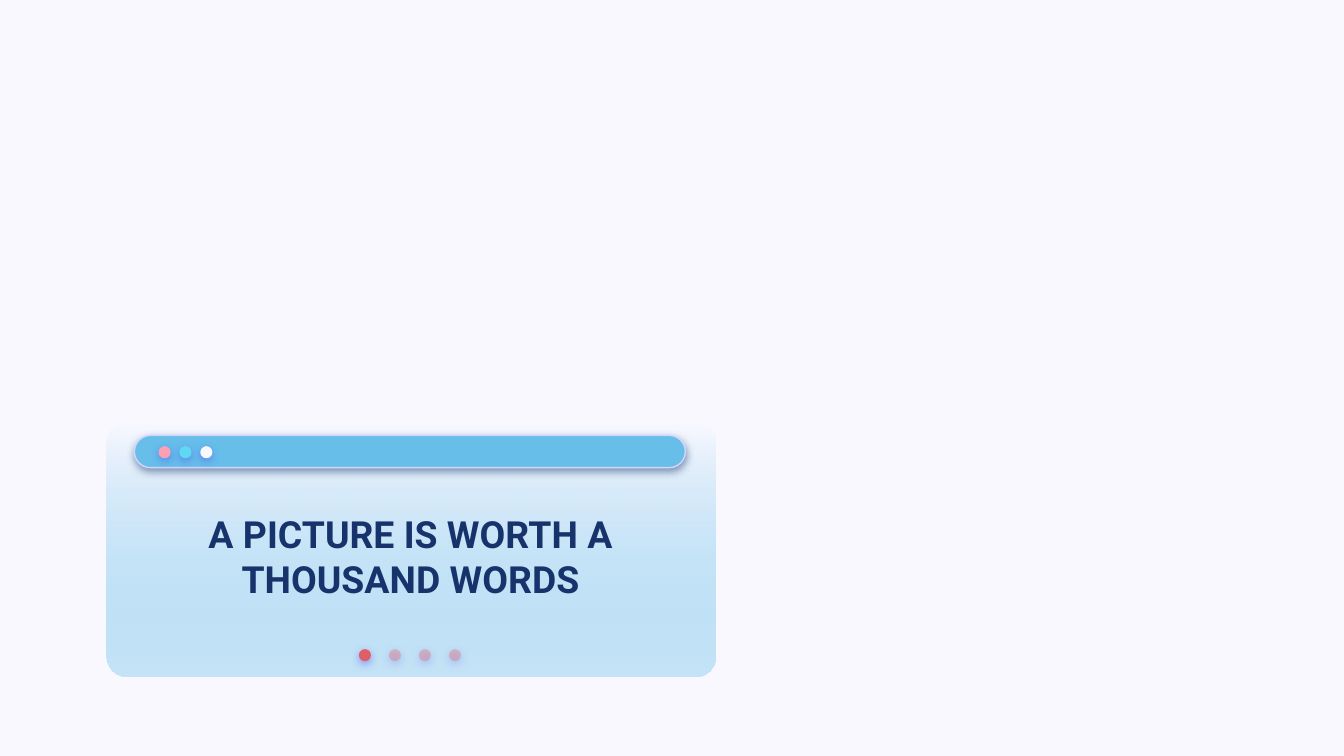
from lxml.etree import SubElement
from pptx import Presentation
from pptx.dml.color import RGBColor
from pptx.enum.shapes import MSO_SHAPE as Shape
from pptx.enum.text import MSO_ANCHOR as Anchor, PP_ALIGN as Align
from pptx.oxml.ns import qn
from pptx.util import Inches, Pt

COLORS = {
    "background": "F9F8FF",
    "sky": "66BEE9",
    "navy": "17336B",
    "bar_edge": "D2D6FF",
    "glow": "5352EE",
    "active": "DF5F69",
    "inactive": "E27B83",
    "pink": "FDA0B4",
    "cyan": "60D8F4",
}
SLIDE_WIDTH = 10
DOT_SIZE = 0.09


def rgb(name):
    return RGBColor.from_string(COLORS[name])


def set_alpha(color_element, percent):
    SubElement(color_element, qn("a:alpha"), val=str(percent * 1000))


def add_shadow(shape, color):
    """Soft shadow falling straight down at half strength."""
    effects = shape._element.spPr.find(qn("a:effectLst"))
    shadow = SubElement(effects, qn("a:outerShdw"), blurRad=str(Pt(4.5)),
                        dist=str(Pt(1.5)), dir="5400000", algn="bl", rotWithShape="0")
    set_alpha(SubElement(shadow, qn("a:srgbClr"), val=COLORS[color]), 50)


def add_plain_shape(slide, kind, left, top, width, height):
    shape = slide.shapes.add_shape(
        kind, Inches(left), Inches(top), Inches(width), Inches(height))
    shape.shadow.inherit = False
    shape.line.fill.background()
    return shape


def add_panel(slide):
    panel = add_plain_shape(slide, Shape.ROUNDED_RECTANGLE, 0.79, 3.14, 4.53, 1.89)
    panel.adjustments[0] = 0.08
    panel.fill.gradient()
    panel.fill.gradient_angle = 270
    for stop, position, color in zip(panel.fill.gradient_stops, (0, 1), ("background", "sky")):
        stop.position = position
        stop.color.rgb = rgb(color)
    set_alpha(panel._element.spPr.findall(".//" + qn("a:srgbClr"))[-1], 35)


def add_window_bar(slide):
    bar = add_plain_shape(slide, Shape.ROUNDED_RECTANGLE, 1, 3.24, 4.1, 0.24)
    bar.adjustments[0] = 0.5
    bar.fill.solid()
    bar.fill.fore_color.rgb = rgb("sky")
    bar.line.color.rgb = rgb("bar_edge")
    bar.line.width = Pt(0.75)
    add_shadow(bar, "navy")


def add_dots(slide, first_left, last_left, top, dots):
    """Row of evenly spaced dots; each is a (color, opacity percent) pair."""
    pitch = (last_left - first_left) / (len(dots) - 1)
    for index, (color, opacity) in enumerate(dots):
        dot = add_plain_shape(slide, Shape.OVAL, first_left + index * pitch, top,
                              DOT_SIZE, DOT_SIZE)
        dot.fill.solid()
        dot.fill.fore_color.rgb = rgb(color)
        if opacity < 100:
            set_alpha(dot._element.spPr.find(".//" + qn("a:srgbClr")), opacity)
        add_shadow(dot, "glow")


def add_title(slide, text):
    title = slide.shapes.add_textbox(Inches(0.98), Inches(3.62), Inches(4.15), Inches(1.04))
    frame = title.text_frame
    frame.word_wrap = True
    frame.vertical_anchor = Anchor.MIDDLE
    frame.margin_left = frame.margin_right = Inches(0.1)
    frame.margin_top = frame.margin_bottom = Inches(0.1)
    frame.text = text
    paragraph = frame.paragraphs[0]
    paragraph.alignment = Align.CENTER
    font = paragraph.runs[0].font
    font.name = "Roboto"
    font.size = Pt(20)
    font.bold = True
    font.color.rgb = rgb("navy")


def main():
    presentation = Presentation()
    presentation.slide_width = Inches(SLIDE_WIDTH)
    presentation.slide_height = Inches(SLIDE_WIDTH * 9 / 16)
    slide = presentation.slides.add_slide(presentation.slide_layouts[6])
    slide.background.fill.solid()
    slide.background.fill.fore_color.rgb = rgb("background")

    # Panel with its page indicator
    add_panel(slide)
    add_dots(slide, 2.67, 3.34, 4.83, [("active", 100)] + [("inactive", 44)] * 3)

    # Window bar with its buttons
    add_window_bar(slide)
    add_dots(slide, 1.18, 1.49, 3.32, [("pink", 100), ("cyan", 100), ("background", 100)])

    # Title
    add_title(slide, "A PICTURE IS WORTH A THOUSAND WORDS")

    presentation.save("out.pptx")


if __name__ == "__main__":
    main()
